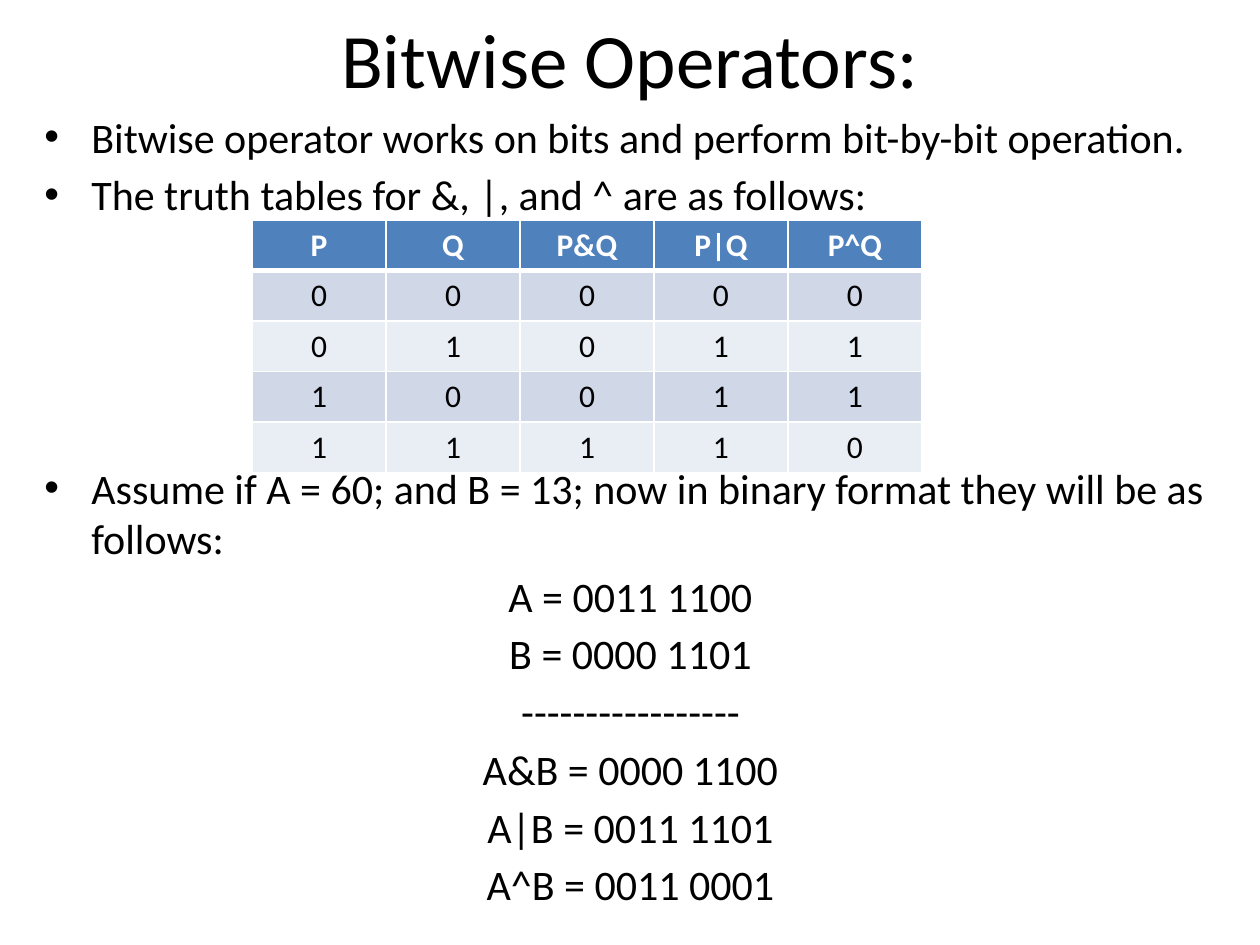
from pptx import Presentation
from pptx.dml.color import RGBColor
from pptx.enum.text import MSO_ANCHOR, PP_ALIGN
from pptx.util import Pt
from pptx.oxml import parse_xml
from pptx.oxml.ns import nsdecls

# Content
TITLE = "Bitwise Operators:"
POINTS = [
    "Bitwise operator works on bits and perform bit-by-bit operation.",
    "The truth tables for &, |, and ^ are as follows:",
    "Assume if A = 60; and B = 13; now in binary format they will be as follows:",
]
SUMS = ["A = 0011 1100", "B = 0000 1101", "-" * 17,
        "A&B = 0000 1100", "A|B = 0011 1101", "A^B = 0011 0001"]
TRUTH = [
    ("P", "Q", "P&Q", "P|Q", "P^Q"),
    (0, 0, 0, 0, 0),
    (0, 1, 0, 1, 1),
    (1, 0, 0, 1, 1),
    (1, 1, 1, 1, 0),
]
COLORS = {"ink": "000000", "white": "FFFFFF", "head": "4F81BD",
          "odd": "D0D8E8", "even": "E9EDF4"}
FONT = "Calibri"
GAP, TABLE_GAP = 4.2, 138.7  # points above a paragraph
COL, ROW = 134, 50

SCALE = 914400 // 126


def px(n):
    return n * SCALE


def put(par, text, size=24, color="ink", bold=False, center=False,
        gap=0, hang=0, bullet=False):
    par.alignment = PP_ALIGN.CENTER if center else PP_ALIGN.LEFT
    par.space_before = Pt(gap)
    props = par._p.get_or_add_pPr()
    if hang:
        props.set("marL", str(px(hang)))
        props.set("indent", str(-px(hang)))
    if bullet:
        props.append(parse_xml(f'<a:buFont {nsdecls("a")} typeface="Arial"/>'))
        props.append(parse_xml(f'<a:buChar {nsdecls("a")} char="•"/>'))
    run = par.add_run()
    run.text = str(text)
    font = run.font
    font.name, font.size, font.bold = FONT, Pt(size), bold
    font.color.rgb = RGBColor.from_string(COLORS[color])


def add_box(left, top, width, height, anchor):
    frame = slide.shapes.add_textbox(
        px(left), px(top), px(width), px(height)).text_frame
    frame.word_wrap = True
    frame.vertical_anchor = anchor
    return frame


def edge(cell, side, width):
    cell._tc.get_or_add_tcPr().append(parse_xml(
        f'<a:{side} {nsdecls("a")} w="{Pt(width)}"><a:solidFill>'
        f'<a:srgbClr val="{COLORS["white"]}"/></a:solidFill></a:{side}>'))


deck = Presentation()
deck.slide_width, deck.slide_height = px(1260), px(945)
slide = deck.slides.add_slide(deck.slide_layouts[6])

# Title
head = add_box(63, 0, 1134, 116, MSO_ANCHOR.MIDDLE)
put(head.paragraphs[0], TITLE, size=44, center=True)

# Body, with room for the table above the last point
body = add_box(32, 105, 1197, 798, MSO_ANCHOR.TOP)
for i, line in enumerate(POINTS + SUMS):
    par = body.add_paragraph() if i else body.paragraphs[0]
    point = i < len(POINTS)
    put(par, line, center=not point, bullet=point, hang=47,
        gap=TABLE_GAP if line == POINTS[-1] else GAP)

# Truth table
rows, cols = len(TRUTH), len(TRUTH[0])
grid = slide.shapes.add_table(rows, cols, px(252), px(220),
                              px(COL * cols), px(ROW * rows)).table
for r, values in enumerate(TRUTH):
    top = r == 0
    shade = "head" if top else "odd" if r % 2 else "even"
    for c, value in enumerate(values):
        cell = grid.cell(r, c)
        for side in ("lnL", "lnR", "lnT", "lnB"):
            thick = (side == "lnB" and top) or (side == "lnT" and r == 1)
            edge(cell, side, 3 if thick else 1)
        cell.fill.solid()
        cell.fill.fore_color.rgb = RGBColor.from_string(COLORS[shade])
        put(cell.text_frame.paragraphs[0], value, size=18, bold=top,
            color="white" if top else "ink", center=True)

deck.save("out.pptx")
